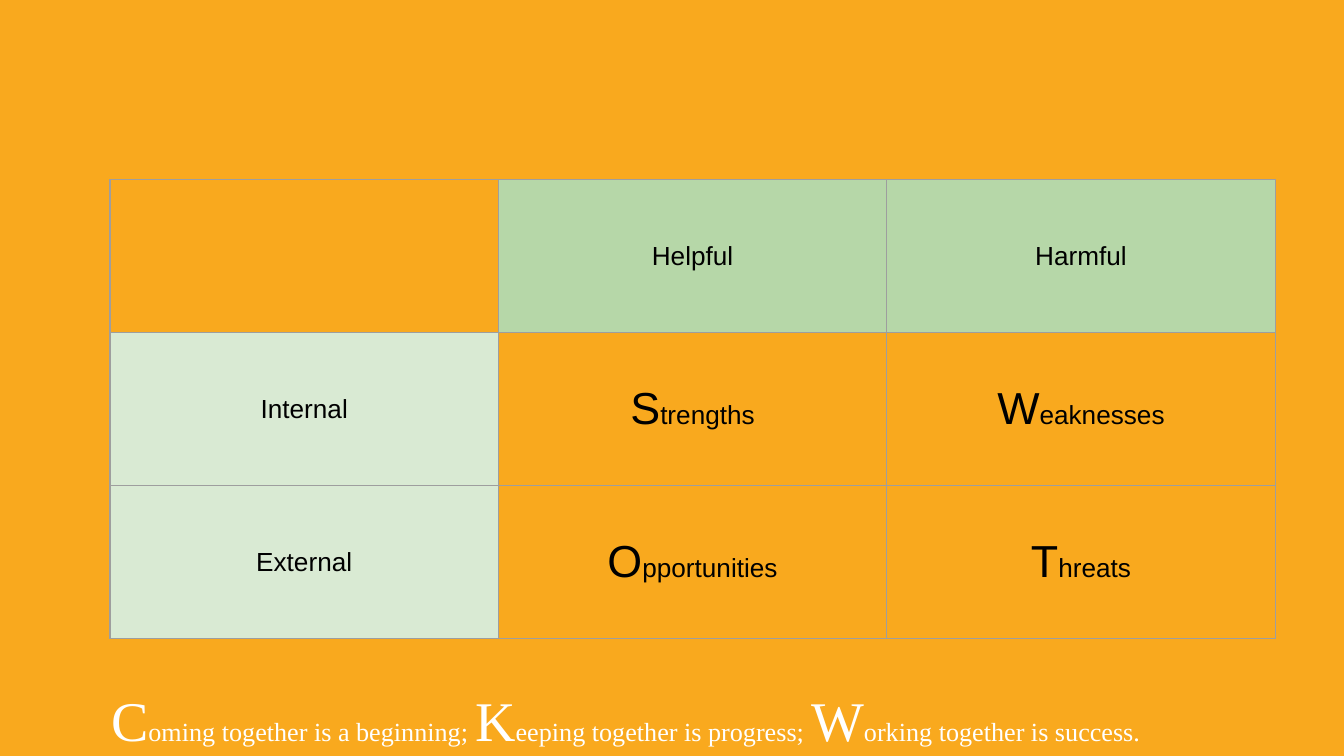
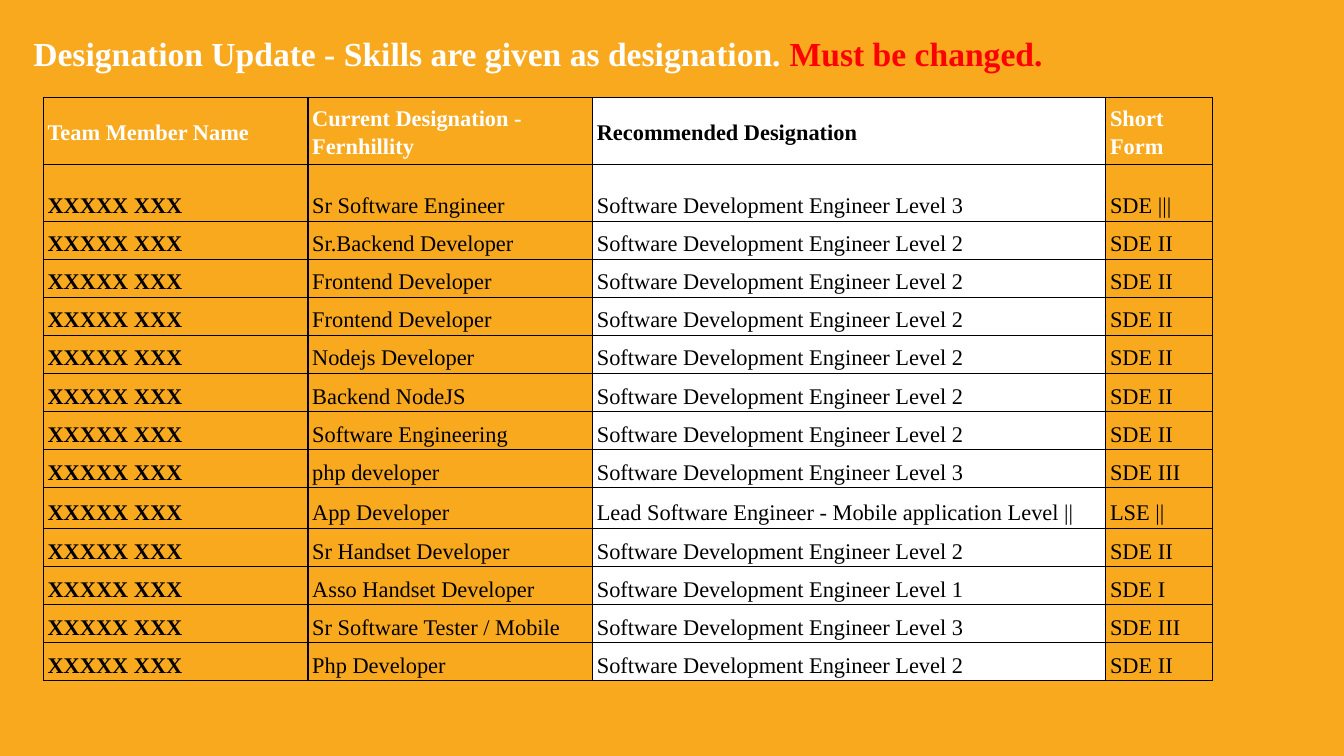
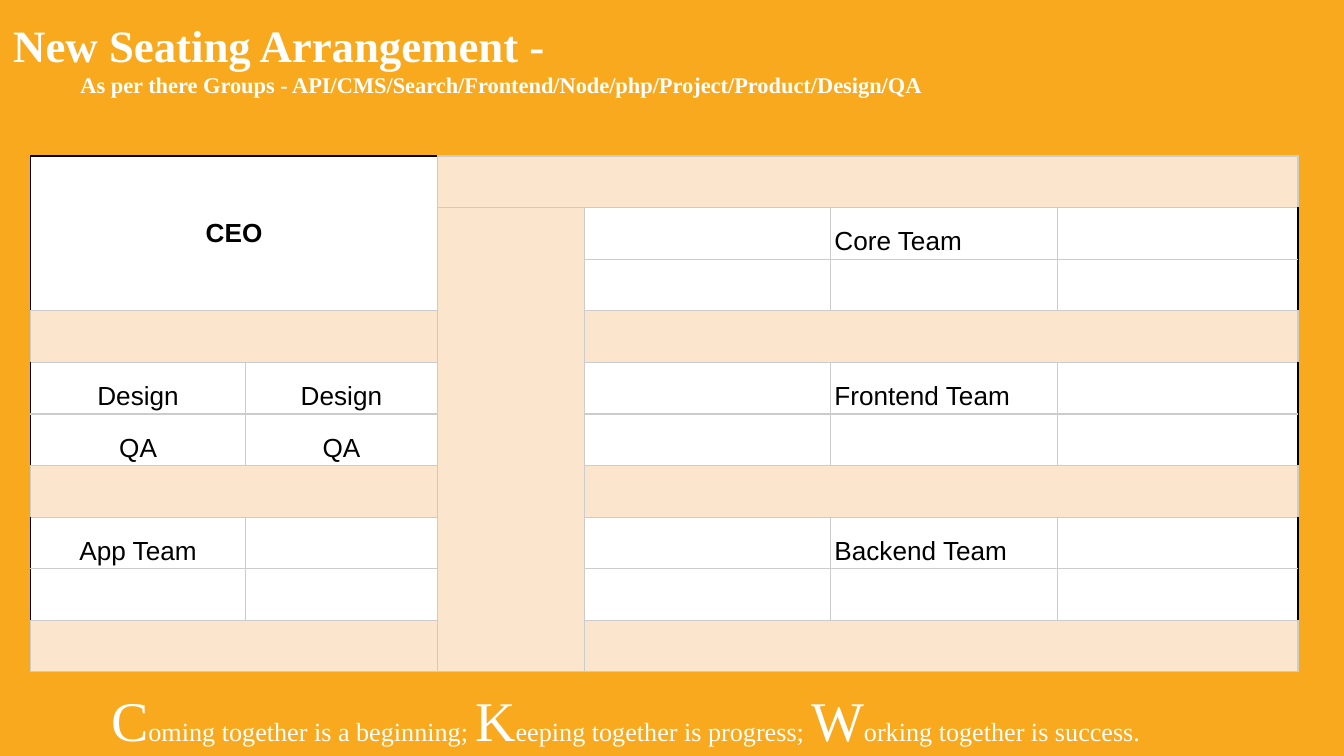
"""Build three team slides: a SWOT grid, designation updates and a seating plan."""
import pptx
import pptx.dml.color
import pptx.enum.text
import pptx.oxml
import pptx.oxml.ns
import pptx.util

Cm = pptx.util.Cm
ALIGN = pptx.enum.text.PP_ALIGN
ANCHOR = pptx.enum.text.MSO_ANCHOR

COLOURS = {
    "orange": "F9A91E", "white": "FFFFFF", "black": "000000", "red": "FF0000",
    "grey": "9E9E9E", "silver": "CCCCCC", "green": "B6D7A8",
    "pale green": "D9EAD3", "corridor": "FCE5CD",
}
RGB = {name: pptx.dml.color.RGBColor.from_string(value) for name, value in COLOURS.items()}
SERIF, SANS = "Times New Roman", "Arial"
TEXT_FRAME = {
    "word_wrap": True, "auto_size": pptx.enum.text.MSO_AUTO_SIZE.NONE,
    "vertical_anchor": ANCHOR.TOP, "margin_left": Cm(0.25), "margin_right": Cm(0.25),
    "margin_top": Cm(0.25), "margin_bottom": Cm(0.25),
}


def write_runs(paragraph, runs, colour="black", name=SANS, bold=False):
    """Add (text, size) or (text, size, colour) runs to a paragraph."""
    for text, size, *own_colour in runs:
        run = paragraph.add_run()
        run.text = text
        font_format = {"name": name, "size": pptx.util.Pt(size), "bold": bold}
        for attribute, value in font_format.items():
            setattr(run.font, attribute, value)
        run.font.color.rgb = RGB[own_colour[0] if own_colour else colour]


def add_grid(slide, left, top, widths, heights, border, side_margin, end_margin):
    """Add an unfilled table with the given column widths, row heights and border."""
    table = slide.shapes.add_table(
        len(heights), len(widths), Cm(left), Cm(top), Cm(sum(widths)), Cm(sum(heights))).table
    table.first_row = table.horz_banding = False
    for column, width in zip(table.columns, widths):
        column.width = Cm(width)
    for row, height in zip(table.rows, heights):
        row.height = Cm(height)
    cell_format = {
        "margin_left": Cm(side_margin), "margin_right": Cm(side_margin),
        "margin_top": Cm(end_margin), "margin_bottom": Cm(end_margin),
        "vertical_anchor": ANCHOR.MIDDLE,
    }
    for cell in table.iter_cells():
        for attribute, value in cell_format.items():
            setattr(cell, attribute, value)
        for side in "LRTB":
            cell._tc.get_or_add_tcPr().append(pptx.oxml.parse_xml(
                f'<a:ln{side} {pptx.oxml.ns.nsdecls("a")} w="9525"><a:solidFill>'
                f'<a:srgbClr val="{COLOURS[border]}"/></a:solidFill></a:ln{side}>'))
        cell.fill.background()
    return table


presentation = pptx.Presentation()
presentation.slide_width, presentation.slide_height = Cm(25.4), Cm(14.29)
background = presentation.slide_master.background.fill
background.solid()
background.fore_color.rgb = RGB["orange"]
title_only, blank = presentation.slide_layouts[5], presentation.slide_layouts[6]
swot_slide = presentation.slides.add_slide(blank)
designation_slide = presentation.slides.add_slide(title_only)
seating_slide = presentation.slides.add_slide(title_only)

titles = [
    (designation_slide, (0.38, 0.38, 24.77, 13.23), [
        ("Designation Update - Skills are given as designation. ", 18),
        ("Must be changed.", 18, "red")]),
    (seating_slide, (0, 0.08, 25.12, 13.54), [("New Seating Arrangement -", 24)]),
]
for slide, place, runs in titles:
    title = slide.shapes.title
    title.left, title.top, title.width, title.height = map(Cm, place)
    for attribute, value in TEXT_FRAME.items():
        setattr(title.text_frame, attribute, value)
    paragraph = title.text_frame.paragraphs[0]
    paragraph.alignment = ALIGN.LEFT
    write_runs(paragraph, runs, "white", SERIF, True)

groups = seating_slide.shapes.title.text_frame.add_paragraph()
groups.alignment = ALIGN.LEFT
groups._p.get_or_add_pPr().set("indent", str(Cm(1.27)))
write_runs(groups, [
    ("As per there Groups - API/CMS/Search/Frontend/Node/php/Project/Product/Design/QA", 12),
], "white", SERIF, True)

motto = ["Coming together is a beginning; ", "Keeping together is progress; ",
         "Working together is success."]
for slide in (swot_slide, seating_slide):
    motto_box = slide.shapes.add_textbox(Cm(1.85), Cm(12.7), Cm(22.68), Cm(1.57))
    for attribute, value in TEXT_FRAME.items():
        setattr(motto_box.text_frame, attribute, value)
    for phrase in motto:
        write_runs(motto_box.text_frame.paragraphs[0],
                   [(phrase[0], 30), (phrase[1:], 14)], "white", SERIF)

swot_rows = [
    ("", "Helpful", "Harmful"),
    ("Internal", "Strengths", "Weaknesses"),
    ("External", "Opportunities", "Threats"),
]
swot = add_grid(swot_slide, 2.08, 3.4, [7.34] * 3, [2.89] * 3, "grey", 0.25, 0.25)
for row, texts in enumerate(swot_rows):
    for column, text in enumerate(texts):
        if not text:
            continue
        cell = swot.cell(row, column)
        paragraph = cell.text_frame.paragraphs[0]
        paragraph.alignment = ALIGN.CENTER
        if row and column:
            write_runs(paragraph, [(text[0], 24), (text[1:], 14)])
        else:
            write_runs(paragraph, [(text, 14)])
            cell.fill.solid()
            cell.fill.fore_color.rgb = RGB["pale green" if row else "green"]

engineer = "Software Development Engineer Level "
member = "XXXXX XXX"
designation_rows = [
    ("Team Member Name", "Current Designation - Fernhillity", "Recommended Designation",
     "Short Form"),
    (member, "Sr Software Engineer", engineer + "3", "SDE |||"),
    (member, "Sr.Backend Developer", engineer + "2", "SDE II"),
    (member, "Frontend Developer", engineer + "2", "SDE II"),
    (member, "Frontend Developer", engineer + "2", "SDE II"),
    (member, "Nodejs Developer", engineer + "2", "SDE II"),
    (member, "Backend NodeJS", engineer + "2", "SDE II"),
    (member, "Software Engineering", engineer + "2", "SDE II"),
    (member, "php developer", engineer + "3", "SDE III"),
    (member, "App Developer", "Lead Software Engineer - Mobile application Level ||", "LSE ||"),
    (member, "Sr Handset Developer", engineer + "2", "SDE II"),
    (member, "Asso Handset Developer", engineer + "1", "SDE I"),
    (member, "Sr Software Tester / Mobile", engineer + "3", "SDE III"),
    (member, "Php Developer", engineer + "2", "SDE II"),
]
heights = [1.26, 1.07] + [0.72] * 7 + [0.77] + [0.72] * 4
designations = add_grid(designation_slide, 0.82, 1.85, [5, 5.38, 9.7, 2.01], heights,
                        "black", 0.08, 0.05)
for row, texts in enumerate(designation_rows):
    for column, text in enumerate(texts):
        recommended = column == 2
        cell = designations.cell(row, column)
        cell.fill.solid()
        cell.fill.fore_color.rgb = RGB["white" if recommended else "orange"]
        cell.vertical_anchor = ANCHOR.BOTTOM if row else ANCHOR.MIDDLE
        paragraph = cell.text_frame.paragraphs[0]
        paragraph.line_spacing = 1.15
        write_runs(paragraph, [(text, 12)], "black" if row or recommended else "white",
                   SERIF, row == 0 or column == 0)

seats = {
    (0, 0): "CEO", (1, 4): "Core Team", (4, 0): "Design", (4, 1): "Design",
    (4, 4): "Frontend Team", (5, 0): "QA", (5, 1): "QA", (7, 0): "App Team",
    (7, 4): "Backend Team",
}
seating = add_grid(seating_slide, 0.58, 2.95, [4.06, 3.63, 2.77, 4.65, 4.29, 4.55],
                   [9.75 / 10] * 10, "silver", 0.08, 0.05)
for row in range(10):
    for column in range(6):
        cell = seating.cell(row, column)
        corridor = column == 2 or (row % 3 == 0 and (row > 0 or column > 1))
        cell.fill.solid()
        cell.fill.fore_color.rgb = RGB["corridor" if corridor else "white"]
        walls = {"L": column == 0, "R": column == 5 or (column == 1 and row > 3),
                 "T": row == 0}
        for side, is_wall in walls.items():
            if is_wall and not corridor:
                line = cell._tc.tcPr.find(pptx.oxml.ns.qn(f"a:ln{side}"))
                line[0][0].set("val", COLOURS["black"])
        if (row, column) in seats:
            is_ceo = row == 0
            cell.vertical_anchor = ANCHOR.MIDDLE if is_ceo else ANCHOR.BOTTOM
            paragraph = cell.text_frame.paragraphs[0]
            paragraph.alignment = ALIGN.CENTER if column < 2 else ALIGN.LEFT
            write_runs(paragraph, [(seats[row, column], 14)], bold=is_ceo)

merges = [(0, 0, 2, 1), (0, 2, 0, 5), (1, 2, 9, 2)]
for row in (3, 6, 9):
    merges += [(row, 0, row, 1), (row, 3, row, 5)]
for first_row, first_column, last_row, last_column in merges:
    seating.cell(first_row, first_column).merge(seating.cell(last_row, last_column))

presentation.save("out.pptx")
